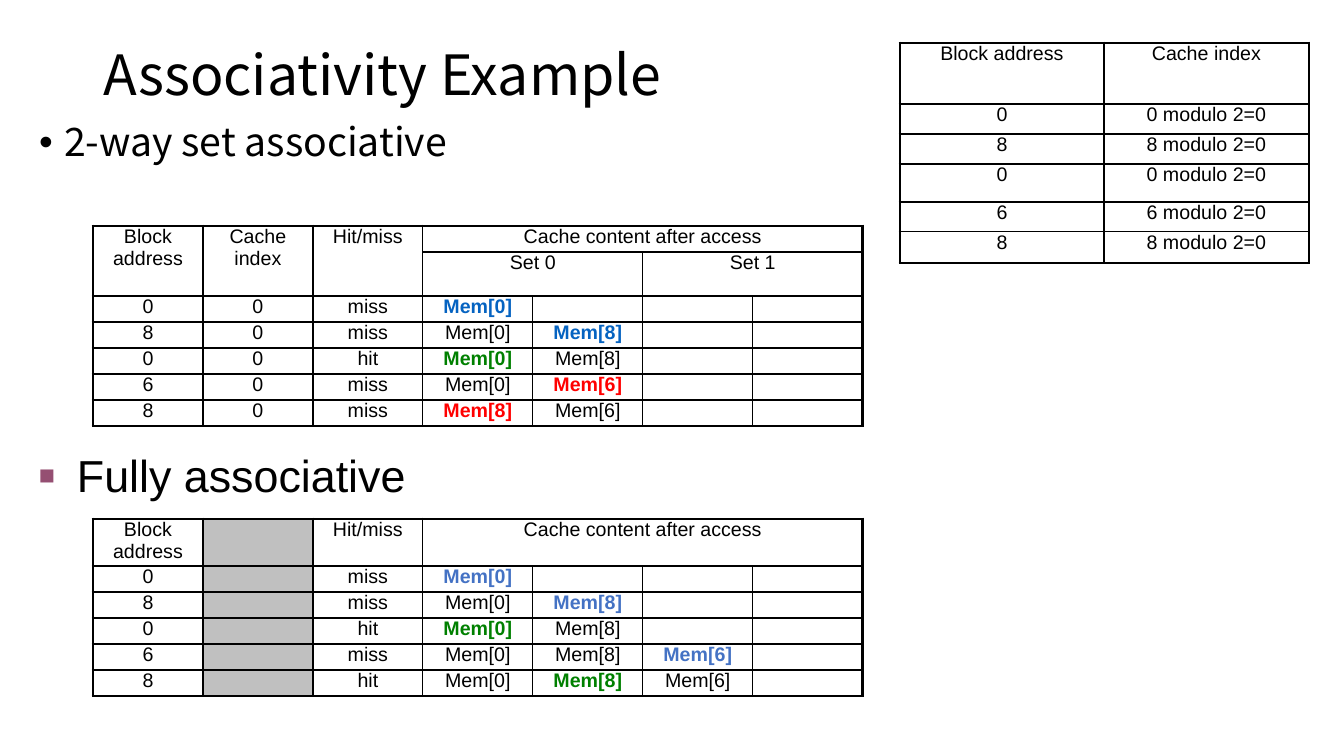
from lxml.etree import SubElement
from pptx import Presentation
from pptx.dml.color import RGBColor
from pptx.enum.text import MSO_ANCHOR, MSO_AUTO_SIZE, PP_ALIGN
from pptx.oxml.ns import qn
from pptx.util import Emu, Pt

BLACK, GRAY, GREEN, RED = "000000", "C0C0C0", "008000", "FF0000"
LINK_BLUE, ACCENT_BLUE, PURPLE = "0563C1", "4472C4", "954F72"
SANS, BODY_FONT = "Arial", "Noto Sans CJK SC"
THICK, THIN = 2.25, 1

TITLE = "Associativity Example"
TWO_WAY = "2-way set associative"
FULLY = "Fully associative"
CONTENT = "Cache content after access"

SET_ROWS = [
    ["Block address", "Cache index", "Hit/miss", CONTENT, "", "", ""],
    ["", "", "", "Set 0", "", "Set 1", ""],
    ["0", "0", "miss", ("Mem[0]", LINK_BLUE), "", "", ""],
    ["8", "0", "miss", "Mem[0]", ("Mem[8]", LINK_BLUE), "", ""],
    ["0", "0", "hit", ("Mem[0]", GREEN), "Mem[8]", "", ""],
    ["6", "0", "miss", "Mem[0]", ("Mem[6]", RED), "", ""],
    ["8", "0", "miss", ("Mem[8]", RED), "Mem[6]", "", ""],
]
SET_MERGES = [(0, 0, 1, 0), (0, 1, 1, 1), (0, 2, 1, 2),
              (0, 3, 0, 6), (1, 3, 1, 4), (1, 5, 1, 6)]
FULL_ROWS = [
    ["Block address", "", "Hit/miss", CONTENT, "", "", ""],
    ["0", "", "miss", ("Mem[0]", ACCENT_BLUE), "", "", ""],
    ["8", "", "miss", "Mem[0]", ("Mem[8]", ACCENT_BLUE), "", ""],
    ["0", "", "hit", ("Mem[0]", GREEN), "Mem[8]", "", ""],
    ["6", "", "miss", "Mem[0]", "Mem[8]", ("Mem[6]", ACCENT_BLUE), ""],
    ["8", "", "hit", "Mem[0]", ("Mem[8]", GREEN), "Mem[6]", ""],
]
INDEX_ROWS = [["Block address", "Cache index"]] + [
    [address, f"{address} modulo 2=0"] for address in "08068"]

TABLES = [
    dict(rows=SET_ROWS, left=93, top=226, widths=[110] * 7,
         heights=[26] * 7, merges=SET_MERGES),
    dict(rows=FULL_ROWS, left=93, top=519, widths=[110] * 7,
         heights=[47] + [26] * 5, merges=[(0, 3, 0, 6)], gray_column=1),
    dict(rows=INDEX_ROWS, left=900, top=43, widths=[204, 205],
         heights=[61, 30, 30, 38, 30, 31], right_edge=THIN),
]


def px(length):
    return Emu(round(length * 914400 / 100.8))


def color(value):
    return RGBColor.from_string(value)


def set_font(para, name, size, hue=BLACK, bold=False):
    font = para.font
    font.name, font.size, font.bold = name, Pt(size), bold
    font.color.rgb = color(hue)


def place(box, left, top, width, height):
    box.left, box.top, box.width, box.height = map(px, (left, top, width, height))


def write(box, text, name, size):
    frame = box.text_frame
    frame.word_wrap = True
    frame.auto_size = MSO_AUTO_SIZE.NONE
    frame.text = text
    para = frame.paragraphs[0]
    para.alignment = PP_ALIGN.LEFT
    para.line_spacing = 0.9
    para.space_before = Pt(0)
    set_font(para, name, size)
    return para


def add_bullet(para, char, indent, hue=BLACK, percent=100):
    props = para._p.get_or_add_pPr()
    props.set("marL", str(px(indent)))
    props.set("indent", str(-px(indent)))
    font_props = props.find(qn("a:defRPr"))
    bullet_color = SubElement(props, qn("a:buClr"))
    SubElement(bullet_color, qn("a:srgbClr"), val=hue)
    SubElement(props, qn("a:buSzPct"), val=str(percent * 1000))
    SubElement(props, qn("a:buFont"), typeface=SANS)
    SubElement(props, qn("a:buChar"), char=char)
    props.append(font_props)


def set_borders(cell, left, right, top, bottom):
    props = cell._tc.get_or_add_tcPr()
    sides = {"a:lnL": left, "a:lnR": right, "a:lnT": top, "a:lnB": bottom}
    for tag, points in sides.items():
        line = SubElement(props, qn(tag), w=str(Pt(points)))
        fill = SubElement(line, qn("a:solidFill"))
        SubElement(fill, qn("a:srgbClr"), val=BLACK)


def fill_cell(cell, content):
    text, hue = content if isinstance(content, tuple) else (content, BLACK)
    cell.margin_left = cell.margin_right = Emu(91440)
    cell.margin_top = cell.margin_bottom = 0
    cell.vertical_anchor = MSO_ANCHOR.TOP
    para = cell.text_frame.paragraphs[0]
    para.alignment = PP_ALIGN.CENTER
    set_font(para, SANS, 14, hue, hue != BLACK)
    if text:
        para.add_run().text = text
    else:
        SubElement(para._p, qn("a:endParaRPr"), sz="1400")


def draw_table(page, rows, left, top, widths, heights,
               merges=(), gray_column=None, right_edge=THICK):
    frame = page.shapes.add_table(len(rows), len(widths), px(left), px(top),
                                  px(sum(widths)), px(sum(heights)))
    table = frame.table
    table.first_row = table.horz_banding = False
    for column, width in zip(table.columns, widths):
        column.width = px(width)
    for row, height in zip(table.rows, heights):
        row.height = px(height)
    for r1, c1, r2, c2 in merges:
        table.cell(r1, c1).merge(table.cell(r2, c2))
    for r, row in enumerate(rows):
        for c, content in enumerate(row):
            cell = table.cell(r, c)
            fill_cell(cell, content)
            if not cell.is_spanned:
                at_right = c + cell.span_width == len(widths)
                at_bottom = r + cell.span_height == len(rows)
                set_borders(cell, THICK if c == 0 else THIN,
                            right_edge if at_right else THIN,
                            THICK if r == 0 else THIN,
                            THICK if at_bottom else THIN)
            if c == gray_column:
                cell.fill.solid()
                cell.fill.fore_color.rgb = color(GRAY)
            else:
                cell.fill.background()


def main():
    deck = Presentation()
    deck.slide_width, deck.slide_height = px(1344), px(756)
    page = deck.slides.add_slide(deck.slide_layouts[1])

    title = page.shapes.title
    place(title, 93, 40, 1159, 76)
    title.text_frame.vertical_anchor = MSO_ANCHOR.MIDDLE
    write(title, TITLE, BODY_FONT, 39.6)

    body = page.placeholders[1]
    place(body, 29, 118, 912, 80)
    add_bullet(write(body, TWO_WAY, BODY_FONT, 28), "•", 25)

    fully_box = page.shapes.add_textbox(px(29), px(449), px(857), px(64))
    add_bullet(write(fully_box, FULLY, SANS, 32), "■", 38, PURPLE, 60)

    for table in TABLES:
        draw_table(page, **table)
    deck.save("out.pptx")


if __name__ == "__main__":
    main()
